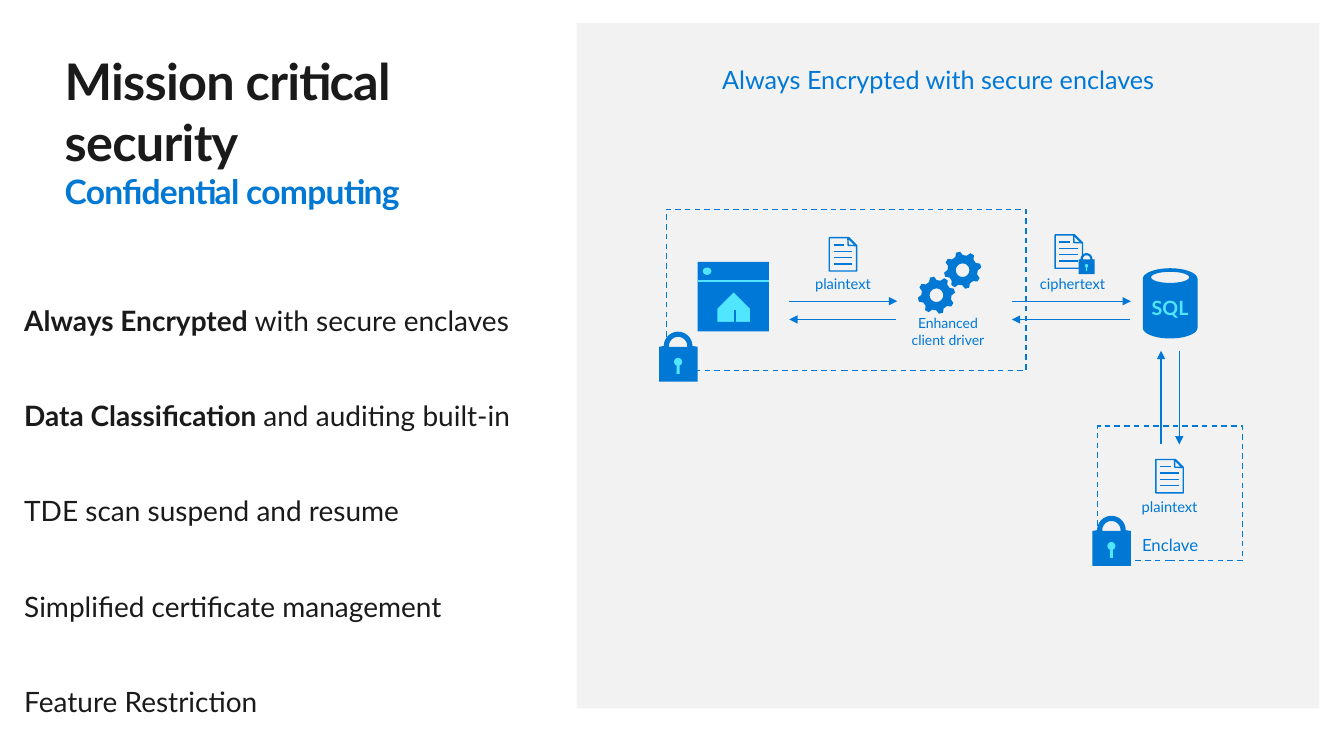
from math import cos, pi, radians, sin

from lxml import etree
from pptx import Presentation
from pptx import util as u
from pptx.dml.color import RGBColor
from pptx.enum import dml, shapes, text
from pptx.oxml.ns import qn

# Colours
INK = RGBColor(0x1A, 0x1A, 0x1A)
BLUE = RGBColor(0x00, 0x78, 0xD4)
LINE = RGBColor(0x00, 0x78, 0xD7)
CYAN = RGBColor(0x50, 0xE6, 0xFF)
GREY = RGBColor(0xF2, 0xF2, 0xF2)

# Content (lengths in centimetres)
TITLE = ("Mission critical security", "Confidential computing")
POINTS = [
    ("Always Encrypted ", "with secure enclaves"),
    ("Data Classification ", "and auditing built-in"),
    ("", "TDE scan suspend and resume"),
    ("", "Simplified certificate management"),
    ("", "Feature Restriction"),
]
HEAD = "Always Encrypted with secure enclaves"
LABELS = [  # words, box, size, wrap
    ("plaintext", (20.19, 6.81, 2.11, 0.74), 10.5, False),
    ("ciphertext", (25.91, 6.81, 2.24, 0.74), 10.5, False),
    ("Enhanced client driver", (22.53, 7.8, 2.72, 1.12), 10, True),
    ("plaintext", (28.42, 12.42, 2.11, 0.74), 10.5, False),
]
ZONES = [("", (16.79, 5.28, 9.07, 4.06)), ("Enclave", (27.66, 10.74, 3.66, 3.38))]
ARROWS = [  # from, to
    (19.89, 7.59, 22.61, 7.59), (22.58, 8.05, 19.89, 8.05),
    (25.5, 7.59, 28.5, 7.59), (28.47, 8.05, 25.5, 8.05),
    (29.72, 8.84, 29.72, 11.2), (29.26, 11.18, 29.26, 8.84),
]
PAGES = [(20.9, 5.99), (26.59, 5.92), (29.13, 11.58)]
GEARS = [(24.26, 6.81), (23.6, 7.44)]
LOCKS = [(16.61, 8.36, 1), (27.53, 13.0, 1), (27.18, 6.38, 0.42)]  # x, y, scale

deck = Presentation()
deck.slide_width, deck.slide_height = u.Cm(33.87), u.Cm(19.05)
slide = deck.slides.add_slide(deck.slide_layouts[6])
pen = slide.shapes


# Drawing helpers
def paint(shape, fill=None, line=None):
    shape.shadow.inherit = False
    if fill is None:
        shape.fill.background()
    else:
        shape.fill.solid()
        shape.fill.fore_color.rgb = fill
    if line is None:
        shape.line.fill.background()
    else:
        shape.line.color.rgb = line
        shape.line.width = u.Pt(1)
    return shape


def block(kind, box, fill=None, line=None):
    return paint(pen.add_shape(kind, *map(u.Cm, box)), fill, line)


def stroke(ends, color=LINE, width=1, arrow=False):
    line = pen.add_connector(shapes.MSO_CONNECTOR.STRAIGHT, *map(u.Cm, ends))
    line.line.color.rgb = color
    line.line.width = u.Pt(width)
    if arrow:
        tip = etree.SubElement(line.line._get_or_add_ln(), qn("a:tailEnd"))
        tip.set("type", "triangle")
    etree.SubElement(line._element.spPr, qn("a:effectLst"))


def outline(rings, fill, line=None):
    """Closed rings in one shape; inner rings become holes."""
    rings = [[(u.Cm(x), u.Cm(y)) for x, y in ring] for ring in rings]
    form = pen.build_freeform(*rings[0][0], scale=1.0)
    for n, ring in enumerate(rings):
        if n:
            form.move_to(*ring[0])
        form.add_line_segments(ring[1:], close=True)
    return paint(form.convert_to_shape(), fill, line)


def arc(x, y, rx, ry, start=0, end=360, steps=32):
    turns = [radians(start + (end - start) * n / steps) for n in range(steps + 1)]
    return [(x + rx * cos(t), y + ry * sin(t)) for t in turns]


def style(run, size, color, bold=False):
    run.font.name, run.font.size, run.font.bold = "Lato", u.Pt(size), bold
    run.font.color.rgb = color


def frame(box, wrap=True, inset=True):
    area = pen.add_textbox(*map(u.Cm, box)).text_frame
    area.word_wrap = wrap
    if not inset:
        area.margin_left = area.margin_right = 0
        area.margin_top = area.margin_bottom = 0
    return area


def label(area, words, size, color=LINE, bold=False, anchor=text.MSO_ANCHOR.TOP):
    area.text = words
    area.vertical_anchor = anchor
    para = area.paragraphs[0]
    para.alignment = text.PP_ALIGN.CENTER
    style(para.runs[0], size, color, bold)
    return para


# Icons
def page(x, y):
    sheet = block(shapes.MSO_SHAPE.SNIP_1_RECTANGLE, (x, y, 0.69, 0.84), line=LINE)
    sheet.adjustments[0] = 0.287
    fold = block(shapes.MSO_SHAPE.ISOSCELES_TRIANGLE,
                 (x + 0.38, y + 0.08, 0.28, 0.13), line=LINE)
    fold.rotation = 225
    for n in range(4):
        row = y + 0.18 + 0.16 * n
        stroke((x + 0.11, row, x + (0.58 if n else 0.38), row))


def gear(x, y):
    rim = []
    for n in range(8):
        mid = radians(31 - 90 + 45 * n)
        for turn, r in ((-0.26, 0.38), (-0.11, 0.47), (0.11, 0.47), (0.26, 0.38)):
            rim.append((x + r * cos(mid + turn), y + r * sin(mid + turn)))
    outline([rim, arc(x, y, 0.17, 0.17)], BLUE)


def lock(x, y, k):
    body = [(0.97, 0.38), (0.97, 1.26), (0, 1.26), (0, 0.38)]
    outer = body + arc(0.48, 0.36, 0.36, 0.36, 180, 360)
    inner = [(0.71, 0.38), (0.25, 0.38)] + arc(0.48, 0.36, 0.23, 0.23, 180, 360)
    key = arc(0.48, 0.76, 0.1, 0.1, 112, 428) + [(0.52, 1.06), (0.44, 1.06)]
    place = lambda ring: [(x + k * a, y + k * b) for a, b in ring]
    outline([place(outer), place(inner)], BLUE)
    outline([place(key)], CYAN)


def browser(x, y):
    block(shapes.MSO_SHAPE.RECTANGLE, (x, y, 1.8, 1.75), LINE)
    stroke((x + 1.8, y + 0.49, x, y + 0.49), CYAN, 1.5)
    house = [(0.48, 1.53), (0.48, 1.17), (0.91, 0.74), (1.34, 1.17), (1.34, 1.53)]
    outline([[(x + a, y + b) for a, b in house]], CYAN, LINE)
    stroke((x + 0.94, y + 1.22, x + 0.94, y + 1.53))
    block(shapes.MSO_SHAPE.OVAL, (x + 0.15, y + 0.16, 0.18, 0.15), CYAN, CYAN)


def store(x, y):
    side = arc(x, y + 0.27, 0.69, 0.27, 180, 360) + arc(x, y + 1.5, 0.69, 0.27, 0, 180)
    outline([side, arc(x, y + 0.23, 0.48, 0.14)], BLUE)
    area = frame((x - 0.69, y + 0.6, 1.38, 0.8), wrap=False, inset=False)
    label(area, "SQL", 14, CYAN, True, text.MSO_ANCHOR.MIDDLE)


# Panel and left column
block(shapes.MSO_SHAPE.RECTANGLE, (14.53, 0.58, 18.72, 17.27), GREY)

para = frame((1.63, 1.27, 12.27, 4.62), inset=False).paragraphs[0]
para.text = "\v".join(TITLE)
para.space_before = para.space_after = u.Pt(12)
for run, size, color in zip(para.runs, (36, 24), (INK, BLUE)):
    style(run, size, color, True)
    run.font._element.set("spc", "-50")

area = frame((0.61, 7.65, 13.31, 10.54), inset=False)
for n, (strong, plain) in enumerate(POINTS):
    para = area.add_paragraph() if n else area.paragraphs[0]
    para.space_before = u.Pt(44 if n else 10)
    for words, bold in ((strong, True), (plain, False)):
        if words:
            run = para.add_run()
            run.text = words
            style(run, 20, INK, bold)

# Diagram
para = label(frame((16, 1.57, 15.29, 0.94)), HEAD, 18)
para.line_spacing, para.space_after = 0.9, u.Pt(6)
for words, box in ZONES:
    zone = block(shapes.MSO_SHAPE.RECTANGLE, box, line=LINE)
    zone.line.dash_style = dml.MSO_LINE.DASH
    if words:
        label(zone.text_frame, words, 12, anchor=text.MSO_ANCHOR.BOTTOM)
for ends in ARROWS:
    stroke(ends, arrow=True)
for words, box, size, wrap in LABELS:
    spot = text.MSO_ANCHOR.MIDDLE if wrap else text.MSO_ANCHOR.TOP
    label(frame(box, wrap), words, size, anchor=spot)
for spot in PAGES:
    page(*spot)
for spot in GEARS:
    gear(*spot)
browser(17.58, 6.6)
store(29.49, 6.76)
for spot in LOCKS:
    lock(*spot)

deck.save("out.pptx")
